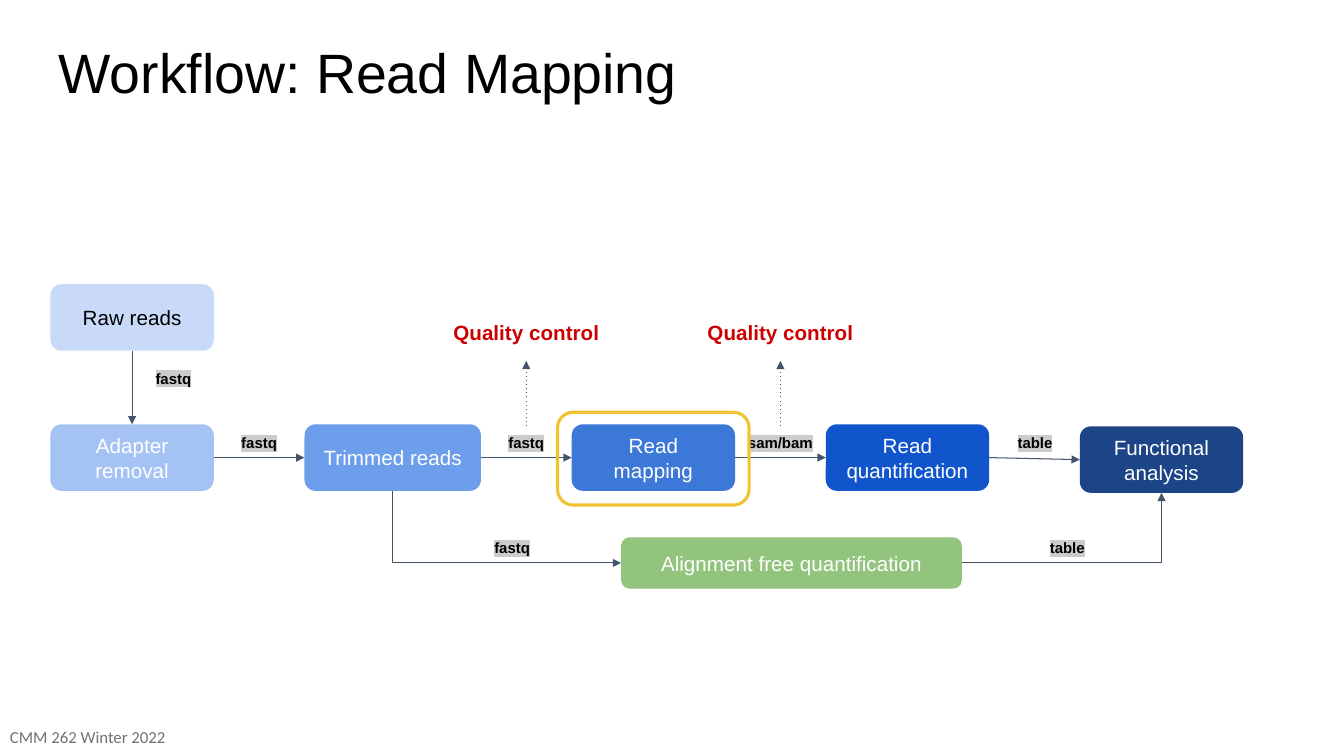
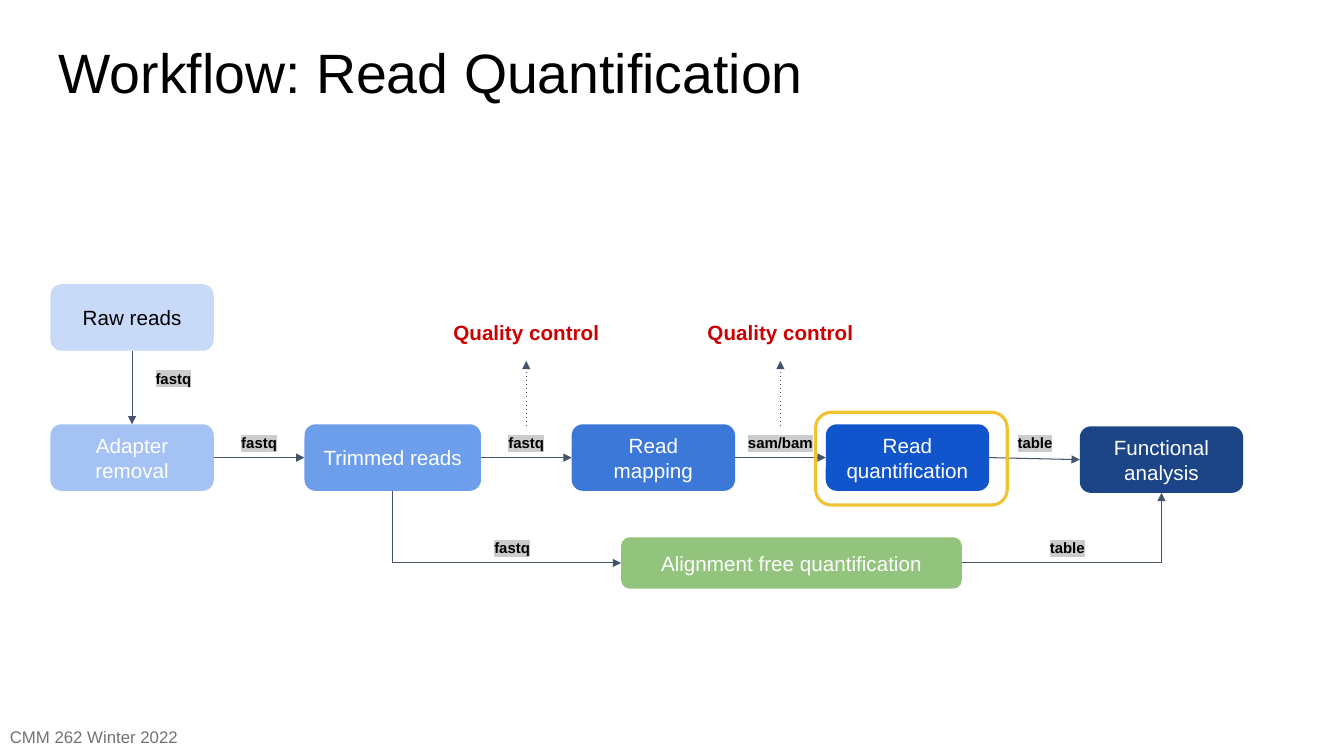
from dataclasses import dataclass

from lxml import etree
from pptx import Presentation
from pptx.dml.color import RGBColor
from pptx.enum.shapes import MSO_CONNECTOR, MSO_SHAPE
from pptx.enum.text import MSO_ANCHOR, MSO_AUTO_SIZE, PP_ALIGN
from pptx.oxml.ns import qn
from pptx.shapes.autoshape import Shape
from pptx.shapes.connector import Connector
from pptx.slide import Slide
from pptx.text.text import TextFrame
from pptx.util import Emu, Pt

STRAIGHT, ELBOW = MSO_CONNECTOR.STRAIGHT, MSO_CONNECTOR.ELBOW
ROUNDED = MSO_SHAPE.ROUNDED_RECTANGLE
LEFT, CENTER = PP_ALIGN.LEFT, PP_ALIGN.CENTER
TOP_ANCHOR, MIDDLE, BOTTOM_ANCHOR = MSO_ANCHOR.TOP, MSO_ANCHOR.MIDDLE, MSO_ANCHOR.BOTTOM
NO_AUTOFIT = MSO_AUTO_SIZE.NONE
TITLE_ONLY = 5
TOP, LEFT_SIDE, BOTTOM, RIGHT_SIDE = range(4)

# Layout in px, 100 to the inch
EMU_PER_PX = 9144
SLIDE_W, SLIDE_H = 1333, 750
INSET = 13
FLOW_X, FLOW_Y, FLOW_GAP = 50, 421, 90
STEP_W, STEP_H = 162, 66
LABEL_Y, LABEL_H = 423, 32
LABEL_W = {"fastq": 84, "table": 79, "sam/bam": 102}


@dataclass(frozen=True)
class Theme:
    font: str = "Arial"
    title_size: float = 39.6
    step_size: float = 14.7
    label_size: float = 10.7
    footer_size: float = 12
    arrow_width: float = 0.75
    frame_width: float = 2.25
    corner: float = 0.167
    black: str = "000000"
    white: str = "FFFFFF"
    arrow: str = "44546A"
    label_mark: str = "CCCCCC"
    quality: str = "CC0000"
    frame: str = "F1C232"
    footer: str = "767171"
    raw: str = "C9DAF8"
    adapter: str = "A4C2F4"
    trimmed: str = "6D9EEB"
    mapping: str = "3C78D8"
    quantification: str = "1155CC"
    functional: str = "1C4587"
    alignment_free: str = "93C47D"


THEME = Theme()


@dataclass(frozen=True)
class Step:
    text: str
    fill: str
    width: int = STEP_W
    top: int = FLOW_Y
    output: str = ""
    checked: bool = False


@dataclass(frozen=True)
class WorkflowSlide:
    title: str
    frame_x: int
    footer_font: str


FLOW = [
    Step("Adapter removal", THEME.adapter, output="fastq"),
    Step("Trimmed reads", THEME.trimmed, width=175, output="fastq", checked=True),
    Step("Read mapping", THEME.mapping, output="sam/bam", checked=True),
    Step("Read quantification", THEME.quantification, output="table"),
    Step("Functional analysis", THEME.functional, top=FLOW_Y + 2),
]
SLIDES = [
    WorkflowSlide("Workflow: Read Mapping", 553, "Calibri"),
    WorkflowSlide("Workflow: Read Quantification", 809, "Arial"),
]


def px(length: int) -> Emu:
    return Emu(length * EMU_PER_PX)


def rgb(color: str) -> RGBColor:
    return RGBColor.from_string(color)


def write(frame: TextFrame, text: str, size: float, color: str, *, bold: bool = False,
          font: str = THEME.font, align: PP_ALIGN = CENTER,
          anchor: MSO_ANCHOR = MIDDLE, inset: int = INSET) -> None:
    frame.word_wrap = True
    frame.auto_size = NO_AUTOFIT
    frame.vertical_anchor = anchor
    frame.margin_left = frame.margin_right = px(inset)
    frame.margin_top = frame.margin_bottom = px(min(inset, INSET))
    frame.text = text
    paragraph = frame.paragraphs[0]
    paragraph.alignment = align
    paragraph.font.name, paragraph.font.size = font, Pt(size)
    paragraph.font.bold = bold
    paragraph.font.color.rgb = rgb(color)


def add_rounded(slide: Slide, x: int, y: int, w: int, h: int) -> Shape:
    box = slide.shapes.add_shape(ROUNDED, px(x), px(y), px(w), px(h))
    box.adjustments[0] = THEME.corner
    box.shadow.inherit = False
    return box


def add_step(slide: Slide, step: Step, x: int, height: int = STEP_H,
             color: str = THEME.white) -> Shape:
    box = add_rounded(slide, x, step.top, step.width, height)
    box.fill.solid()
    box.fill.fore_color.rgb = rgb(step.fill)
    box.line.fill.background()
    write(box.text_frame, step.text, THEME.step_size, color)
    return box


def add_label(slide: Slide, text: str, center: int, y: int = LABEL_Y) -> Shape:
    width = LABEL_W[text]
    label = slide.shapes.add_textbox(px(center - width // 2), px(y), px(width), px(LABEL_H))
    write(label.text_frame, text, THEME.label_size, THEME.black, bold=True)
    run_format = label.text_frame.paragraphs[0].runs[0].font._element
    mark = etree.SubElement(run_format, qn("a:highlight"))
    etree.SubElement(mark, qn("a:srgbClr"), val=THEME.label_mark)
    return label


def side_point(shape: Shape, side: int) -> tuple[int, int]:
    middle_x, middle_y = shape.left + shape.width // 2, shape.top + shape.height // 2
    return {
        TOP: (middle_x, shape.top),
        LEFT_SIDE: (shape.left, middle_y),
        BOTTOM: (middle_x, shape.top + shape.height),
        RIGHT_SIDE: (shape.left + shape.width, middle_y),
    }[side]


def style_arrow(arrow: Connector, dotted: bool = False) -> None:
    arrow.line.color.rgb = rgb(THEME.arrow)
    arrow.line.width = Pt(THEME.arrow_width)
    line = arrow.line._get_or_add_ln()
    if dotted:
        etree.SubElement(line, qn("a:prstDash"), val="dot")
    etree.SubElement(line, qn("a:tailEnd"), type="triangle")
    etree.SubElement(arrow._element.spPr, qn("a:effectLst"))


def join(slide: Slide, source: Shape, source_side: int, target: Shape, target_side: int,
         kind: MSO_CONNECTOR = STRAIGHT) -> Connector:
    arrow = slide.shapes.add_connector(
        kind, *side_point(source, source_side), *side_point(target, target_side))
    arrow.begin_connect(source, source_side)
    arrow.end_connect(target, target_side)
    style_arrow(arrow)
    return arrow


def join_with_corner(slide: Slide, source: Shape, source_side: int,
                     target: Shape, target_side: int) -> None:
    """Draw an arrow with one bend, leaving the source through its bottom or right side."""
    arrow = join(slide, source, source_side, target, target_side, ELBOW)
    properties = arrow._element.spPr
    properties.find(qn("a:prstGeom")).set("prst", "bentConnector2")
    if source_side == BOTTOM:
        # A quarter turn swaps the sides of the frame around its centre
        width, height = arrow.width, arrow.height
        shift = (width - height) // 2
        arrow.left, arrow.top = arrow.left + shift, arrow.top - shift
        arrow.width, arrow.height = height, width
        transform = properties.find(qn("a:xfrm"))
        transform.set("rot", "16200000")
        transform.set("flipH", "1")


def add_quality_control(slide: Slide, label: Shape, center: int) -> None:
    x, y = side_point(label, TOP)
    arrow = slide.shapes.add_connector(STRAIGHT, x, y, x, px(358))
    arrow.begin_connect(label, TOP)
    style_arrow(arrow, dotted=True)
    note = slide.shapes.add_textbox(px(center - 97), px(304), px(194), px(51))
    write(note.text_frame, "Quality control", THEME.step_size, THEME.quality,
          bold=True, anchor=BOTTOM_ANCHOR)


def add_title(slide: Slide, text: str) -> None:
    title = slide.shapes.title
    title.left, title.top, title.width, title.height = map(px, (45, 32, 1242, 84))
    write(title.text_frame, text, THEME.title_size, THEME.black, align=LEFT, anchor=TOP_ANCHOR)
    title.text_frame.paragraphs[0].line_spacing = 0.9


def add_footer(slide: Slide, font: str) -> None:
    footer = slide.shapes.add_textbox(px(0), px(716), px(450), px(40))
    write(footer.text_frame, "CMM 262 Winter 2022", THEME.footer_size, THEME.footer,
          font=font, align=LEFT, anchor=TOP_ANCHOR, inset=10)
    footer.text_frame.margin_top = footer.text_frame.margin_bottom = px(5)


def add_workflow(slide: Slide) -> None:
    # Main row
    boxes: list[Shape] = []
    x = FLOW_X
    for step in FLOW:
        boxes.append(add_step(slide, step, x))
        x += step.width + FLOW_GAP
    adapter, trimmed, _, _, functional = boxes

    # Arrows, file formats and checks between the steps
    x = FLOW_X
    for step, source, target in zip(FLOW, boxes, boxes[1:]):
        x += step.width + FLOW_GAP
        center = x - FLOW_GAP // 2
        join(slide, source, RIGHT_SIDE, target, LEFT_SIDE)
        label = add_label(slide, step.output, center)
        if step.checked:
            add_quality_control(slide, label, center)

    # Raw reads above the row
    raw = add_step(slide, Step("Raw reads", THEME.raw, top=282), FLOW_X, color=THEME.black)
    join(slide, raw, BOTTOM, adapter, TOP)
    add_label(slide, "fastq", 172, 359)

    # Alignment free branch below the row
    branch = add_step(slide, Step("Alignment free quantification", THEME.alignment_free,
                                  width=338, top=533), 616, height=51)
    join_with_corner(slide, trimmed, BOTTOM, branch, LEFT_SIDE)
    join_with_corner(slide, branch, RIGHT_SIDE, functional, BOTTOM)
    add_label(slide, "fastq", 508, 527)
    add_label(slide, "table", 1058, 527)


def add_current_step_frame(slide: Slide, x: int) -> None:
    frame = add_rounded(slide, x, 409, 190, 92)
    frame.fill.background()
    frame.line.color.rgb = rgb(THEME.frame)
    frame.line.width = Pt(THEME.frame_width)


def main() -> None:
    deck = Presentation()
    deck.slide_width, deck.slide_height = px(SLIDE_W), px(SLIDE_H)
    for content in SLIDES:
        slide = deck.slides.add_slide(deck.slide_layouts[TITLE_ONLY])
        add_title(slide, content.title)
        add_workflow(slide)
        add_current_step_frame(slide, content.frame_x)
        add_footer(slide, content.footer_font)
    deck.save("out.pptx")


if __name__ == "__main__":
    main()
